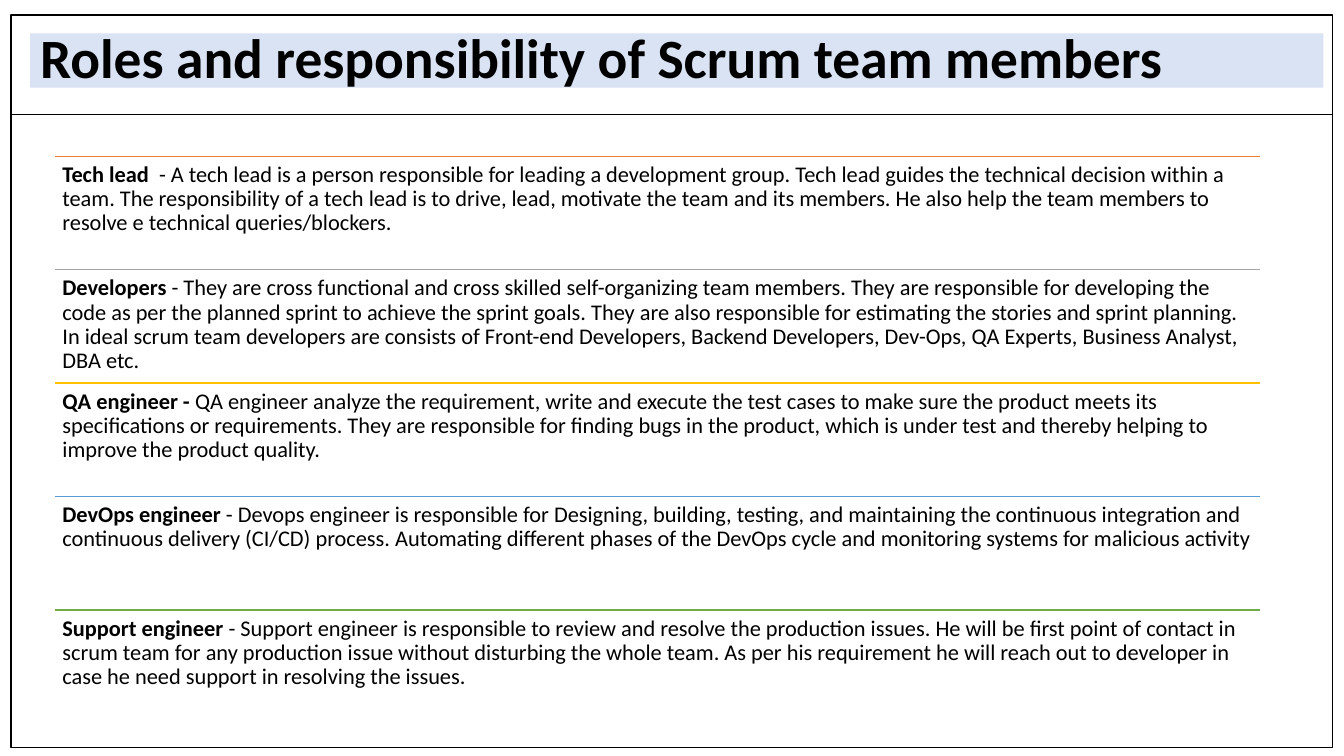
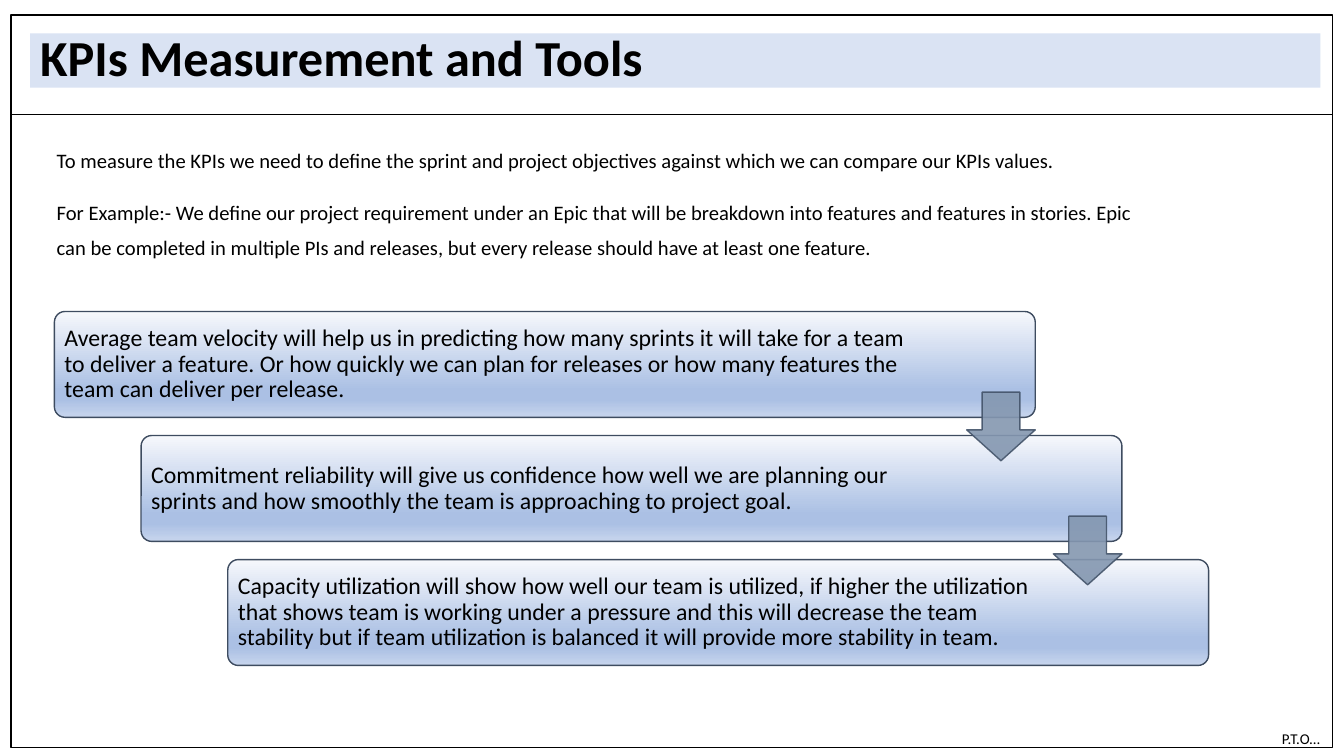
"""Builds two slides on Scrum team roles and KPI measurement."""
import copy
from dataclasses import dataclass

import pptx
import pptx.dml.color
import pptx.enum.shapes
import pptx.enum.text
import pptx.oxml.ns
import pptx.util
from lxml import etree

Pt = pptx.util.Pt
SHAPE = pptx.enum.shapes.MSO_SHAPE
ANCHOR = pptx.enum.text.MSO_ANCHOR
ALIGN = pptx.enum.text.PP_ALIGN
qn = pptx.oxml.ns.qn


@dataclass(frozen=True)
class Theme:
    """Colours and type sizes of the deck."""
    font: str = "Calibri"
    ink: str = "000000"
    band: str = "DAE3F3"
    step_edge: str = "3E4C60"
    step_stops: tuple = ((0, "F6F8FC"), (0.74, "ABC0E4"), (0.83, "ABC0E4"), (1, "C7D5ED"))
    arrow: str = "8497B0"
    arrow_edge: str = "44546A"
    arrow_opacity: int = 90
    role_rules: tuple = ("ED7D31", "A5A5A5", "FFC000", "5B9BD5", "70AD47")
    role_size: float = 16
    step_size: float = 17
    intro_size: float = 14.7
    note_size: float = 10.7


def rgb(code):
    """Turn a hex code into a colour."""
    return pptx.dml.color.RGBColor.from_string(code)


class Deck:
    """Holds the presentation, its theme and the current slide."""

    def __init__(self, theme):
        """Start an empty widescreen presentation."""
        self.theme = theme
        self.presentation = pptx.Presentation()
        self.presentation.slide_width = Pt(960)
        self.presentation.slide_height = Pt(540)
        self.slide = None

    def start_slide(self, title, size, band_width):
        """Add a slide with its frame, divider and title band."""
        self.slide = self.presentation.slides.add_slide(self.presentation.slide_layouts[6])
        frame = self.shape(SHAPE.RECTANGLE, 8, 10.8, 944, 523.4, self.theme.ink)
        frame.fill.background()
        self.rule(8, 81.4, 944, self.theme.ink, 0.5)
        band = self.shape(SHAPE.RECTANGLE, 21.6, 23.8, band_width, 38.9)
        band.fill.solid()
        band.fill.fore_color.rgb = rgb(self.theme.band)
        self.fill_text(band, [title], size, bold=True, anchor=ANCHOR.MIDDLE)

    def shape(self, kind, left, top, width, height, edge=None):
        """Add a preset shape without shadow, outlined if an edge colour is given."""
        shape = self.slide.shapes.add_shape(kind, Pt(left), Pt(top), Pt(width), Pt(height))
        shape.shadow.inherit = False
        if edge:
            shape.line.color.rgb = rgb(edge)
            shape.line.width = Pt(1)
        else:
            shape.line.fill.background()
        return shape

    def rule(self, left, top, length, color, weight=1):
        """Add a horizontal line."""
        rule = self.slide.shapes.add_connector(
            pptx.enum.shapes.MSO_CONNECTOR.STRAIGHT,
            Pt(left), Pt(top), Pt(left + length), Pt(top))
        rule.line.color.rgb = rgb(color)
        rule.line.width = Pt(weight)
        etree.SubElement(rule.element.spPr, qn("a:effectLst"))

    def fill_text(self, holder, paragraphs, size, bold=False, anchor=ANCHOR.TOP,
                  insets=(7.2, 3.6, 7.2, 3.6), spacing=0.9, before=0):
        """Fill a shape with left-aligned paragraphs and format them."""
        frame = holder.text_frame
        frame.text = "\n".join(paragraphs)
        frame.word_wrap = True
        frame.vertical_anchor = anchor
        (frame.margin_left, frame.margin_top,
         frame.margin_right, frame.margin_bottom) = map(Pt, insets)
        for paragraph in frame.paragraphs:
            paragraph.alignment = ALIGN.LEFT
            paragraph.line_spacing = spacing
            paragraph.space_before = Pt(before)
            for run in paragraph.runs:
                self.style(run, size, bold)
        return frame

    def style(self, run, size, bold=False):
        """Set the font of one run."""
        run.font.name = self.theme.font
        run.font.size = Pt(size)
        run.font.bold = bold
        run.font.color.rgb = rgb(self.theme.ink)

    def text(self, paragraphs, left, top, width, height, size, **options):
        """Add a text box."""
        box = self.slide.shapes.add_textbox(Pt(left), Pt(top), Pt(width), Pt(height))
        return self.fill_text(box, paragraphs, size, **options)

    def role(self, name, duty, left, top, width, height, color):
        """Add a coloured rule with a bold role name and its duty below."""
        self.rule(left, top, width, color)
        frame = self.text([name], left, top, width, height, self.theme.role_size,
                          bold=True, insets=(5, 5, 5, 5))
        description = frame.paragraphs[0].add_run()
        description.text = duty
        self.style(description, self.theme.role_size)

    def step(self, statement, left, top, width, height, right_inset):
        """Add a rounded gradient box with a statement."""
        box = self.shape(SHAPE.ROUNDED_RECTANGLE, left, top, width, height, self.theme.step_edge)
        box.adjustments[0] = 0.1
        box.fill.gradient()
        box.fill.gradient_angle = 270
        stop_list = box.element.spPr.find(qn("a:gradFill")).find(qn("a:gsLst"))
        while len(stop_list) < len(self.theme.step_stops):
            stop_list.append(copy.deepcopy(stop_list[0]))
        for stop, (position, color) in zip(box.fill.gradient_stops, self.theme.step_stops):
            stop.position = position
            stop.color.rgb = rgb(color)
        self.fill_text(box, [statement], self.theme.step_size, anchor=ANCHOR.MIDDLE,
                       insets=(5, 5, right_inset, 5))

    def down_arrow(self, left, top, side):
        """Add a slightly transparent arrow pointing down."""
        arrow = self.shape(SHAPE.DOWN_ARROW, left, top, side, side, self.theme.arrow_edge)
        arrow.adjustments[0] = 0.55
        arrow.adjustments[1] = 0.45
        arrow.fill.solid()
        arrow.fill.fore_color.rgb = rgb(self.theme.arrow)
        for color in arrow.element.spPr.iter(qn("a:srgbClr")):
            etree.SubElement(color, qn("a:alpha"), val=str(self.theme.arrow_opacity * 1000))


ROLES = (
    ("Tech lead",
     "  - A tech lead is a person responsible for leading a development group. Tech lead guides "
     "the technical decision within a team. The responsibility of a tech lead is to drive, lead, "
     "motivate the team and its members. He also help the team members to resolve e technical "
     "queries/blockers."),
    ("Developers ",
     "- They are cross functional and cross skilled self-organizing team members. They are "
     "responsible for developing the code as per the planned sprint to achieve the sprint goals. "
     "They are also responsible for estimating the stories and sprint planning. In ideal scrum "
     "team developers are consists of Front-end Developers, Backend Developers, Dev-Ops, QA "
     "Experts, Business Analyst, DBA etc."),
    ("QA engineer - ",
     "QA engineer analyze the requirement, write and execute the test cases to make sure the "
     "product meets its specifications or requirements. They are responsible for finding bugs in "
     "the product, which is under test and thereby helping to improve the product quality."),
    ("DevOps engineer",
     " - Devops engineer is responsible for Designing, building, testing, and maintaining the "
     "continuous integration and continuous delivery (CI/CD) process. Automating different phases "
     "of the DevOps cycle and monitoring systems for malicious activity"),
    ("Support engineer",
     " - Support engineer is responsible to review and resolve the production issues. He will be "
     "first point of contact in scrum team for any production issue without disturbing the whole "
     "team. As per his requirement he will reach out to developer in case he need support in "
     "resolving the issues."),
)

INTRO = (
    "To measure the KPIs we need to define the sprint and project objectives against which we can "
    "compare our KPIs values.",
    "For Example:- We define our project requirement under an Epic that will be breakdown into "
    "features and features in stories. Epic can be completed in multiple PIs and releases, but "
    "every release should have at least one feature.",
)

STEPS = (
    ("Average team velocity will help us in predicting how many sprints it will take for a team "
     "to deliver a feature. Or how quickly we can plan for releases or how many features the team "
     "can deliver per release.", 83),
    ("Commitment reliability will give us confidence how well we are planning our sprints and how "
     "smoothly the team is approaching to project goal.", 116),
    ("Capacity utilization will show how well our team is utilized, if higher the utilization "
     "that shows team is working under a pressure and this will decrease the team stability but "
     "if team utilization is balanced it will provide more stability in team.", 116),
)


def build_roles(deck):
    """Build the slide that lists the team roles."""
    deck.start_slide("Roles and responsibility of Scrum team members", 39.6, 923.8)
    pitch = 81
    for index, ((name, duty), color) in enumerate(zip(ROLES, deck.theme.role_rules)):
        deck.role(name, duty, 39.6, 111.6 + index * pitch, 860.4, pitch, color)


def build_kpis(deck):
    """Build the slide with the staircase of KPI statements."""
    deck.start_slide("KPIs Measurement and Tools", 36, 921.6)
    deck.text(INTRO, 31, 93.6, 805.7, 97.2, deck.theme.intro_size,
              insets=(9.4, 5, 9.4, 5), spacing=1.4, before=12.4)
    width, height, arrow_side = 700.6, 75.6, 49
    corners = [(38.9 + index * 61.9, 222.5 + index * 88.6) for index in range(len(STEPS))]
    for (statement, right_inset), (left, top) in zip(STEPS, corners):
        deck.step(statement, left, top, width, height, right_inset)
    for left, top in corners[:-1]:
        deck.down_arrow(left + width - arrow_side, top + 57.6, arrow_side)
    deck.text(["P.T.O…"], 908.6, 517.7, 51.1, 20.2, deck.theme.note_size, spacing=1.0)


def main():
    """Build and save the presentation."""
    deck = Deck(Theme())
    build_roles(deck)
    build_kpis(deck)
    deck.presentation.save("out.pptx")


if __name__ == "__main__":
    main()
